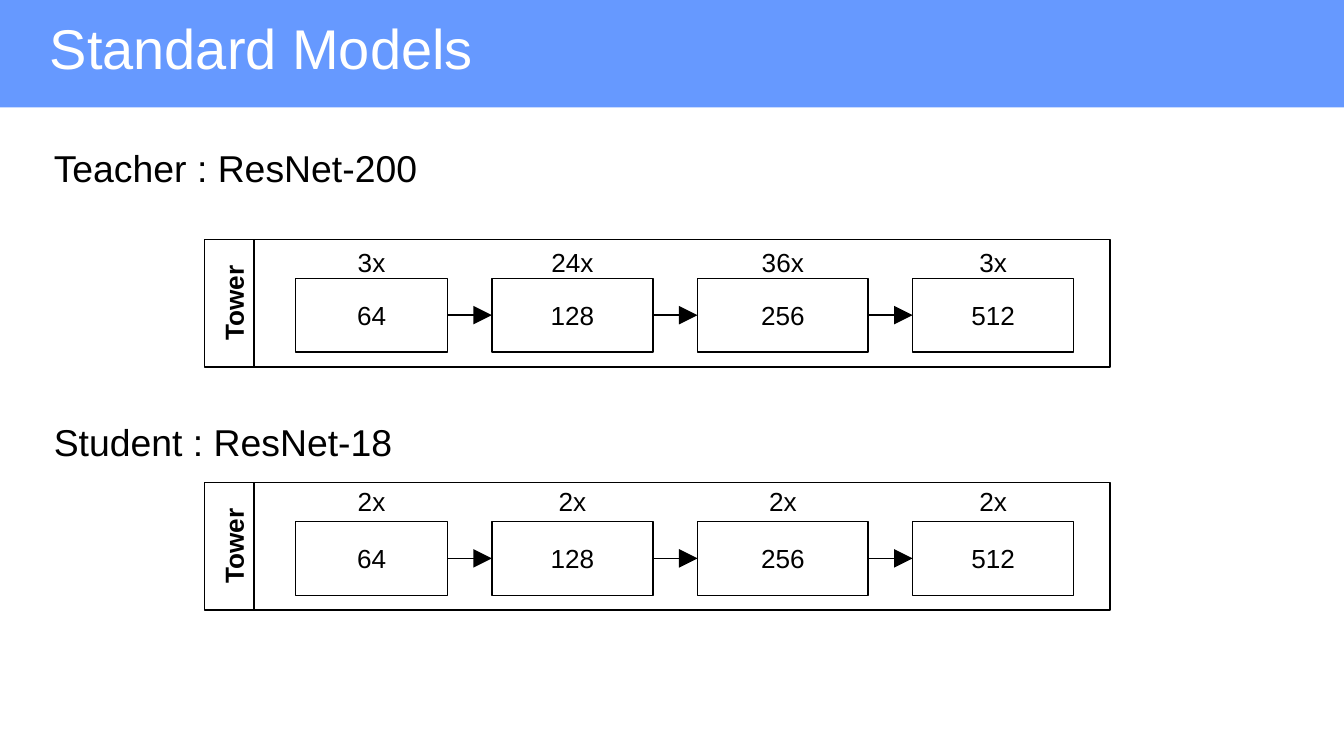
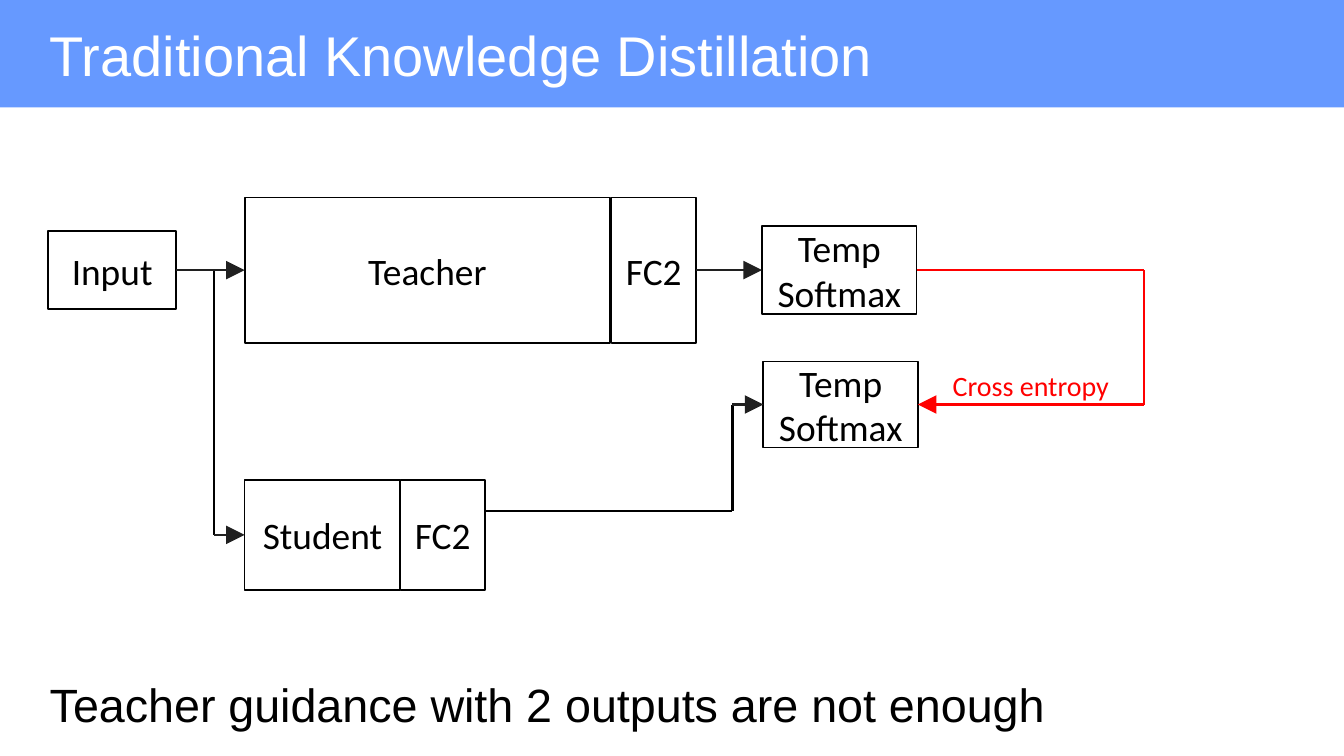
from dataclasses import dataclass

from lxml.etree import SubElement
from pptx import Presentation
from pptx.dml.color import RGBColor
from pptx.enum.shapes import MSO_CONNECTOR, MSO_SHAPE
from pptx.enum.text import MSO_ANCHOR, MSO_AUTO_SIZE, PP_ALIGN
from pptx.oxml.ns import qn
from pptx.util import Inches, Pt


@dataclass(frozen=True)
class Theme:
    band: RGBColor = RGBColor(0x66, 0x99, 0xFF)
    white: RGBColor = RGBColor(0xFF, 0xFF, 0xFF)
    black: RGBColor = RGBColor(0, 0, 0)
    dark: RGBColor = RGBColor(0x20, 0x20, 0x20)
    red: RGBColor = RGBColor(0xFF, 0, 0)
    sans: str = "Arial"
    flow: str = "Calibri"
    title: int = 30
    note: int = 25
    head: int = 20
    tag: int = 15
    small: int = 14
    thin: float = 0.75
    edge: float = 1
    wire: float = 1.25


theme = Theme()
RECT = (MSO_SHAPE.RECTANGLE, 0, 0, 0, 0)
LEFT, RIGHT = 1, 3


def place(shape, at, text="", size=theme.small, color=theme.black, font=theme.sans,
          align=PP_ALIGN.CENTER, anchor=MSO_ANCHOR.TOP, pad=0.1, edge=0, bold=False, space=1):
    """Position a shape, outline it if edge is given, and set its text."""
    shape.left, shape.top, shape.width, shape.height = map(Inches, at)
    if edge:
        shape.shadow.inherit = False
        shape.fill.background()
        shape.line.color.rgb = theme.black
        shape.line.width = Pt(edge)
    if not text:
        return shape
    frame = shape.text_frame
    frame.text = text
    frame.word_wrap = True
    frame.auto_size = MSO_AUTO_SIZE.NONE
    frame.vertical_anchor = anchor
    frame.margin_left = frame.margin_right = Inches(0.1)
    frame.margin_top = frame.margin_bottom = Inches(pad)
    for para in frame.paragraphs:
        if shape.is_placeholder:
            props = para._p.get_or_add_pPr()
            props.set("marL", "0")
            props.set("indent", "0")
            SubElement(props, qn("a:buNone"))
        para.alignment = align
        para.space_before = Pt(0)
        para.line_spacing = space
        para.font.name = font
        para.font.size = Pt(size)
        para.font.bold = bold
        para.font.color.rgb = color
    return shape


def wire(shapes, start, end, color=theme.black, width=theme.wire, head=False):
    """Draw a line; each end is a point (x, y) or a joint (shape, side)."""
    glued = [not isinstance(tip[0], (int, float)) for tip in (start, end)]
    spots = [(0, 0) if glue else tip for glue, tip in zip(glued, (start, end))]
    line = shapes.add_connector(MSO_CONNECTOR.STRAIGHT, *map(Inches, spots[0] + spots[1]))
    if glued[0]:
        line.begin_connect(*start)
    if glued[1]:
        line.end_connect(*end)
    line.line.color.rgb = color
    line.line.width = Pt(width)
    props = line.element.spPr
    if head:
        SubElement(props.find(qn("a:ln")), qn("a:tailEnd"), type="triangle", w="lg", len="lg")
    SubElement(props, qn("a:effectLst"))


# Widescreen, 16 to 9
deck = Presentation()
deck.slide_width, deck.slide_height = Inches(10), Inches(10 * 9 / 16)

# Blue band and title on each slide
pages = []
for name, kind, top in (("Standard Models", 3, 0),
                        ("Traditional Knowledge Distillation", 1, 0.05)):
    page = deck.slides.add_slide(deck.slide_layouts[kind])
    title = page.shapes.title
    band = place(page.shapes.add_shape(*RECT), (0, 0, 10, 0.8))
    band.shadow.inherit = False
    band.fill.solid()
    band.fill.fore_color.rgb = theme.band
    band.line.fill.background()
    title.element.addprevious(band.element)
    place(title, (0.27, top, 9.32, 0.63), name, theme.title, theme.white, align=PP_ALIGN.LEFT)
    pages.append(page)
models, distill = pages

# Standard models: one heading and one tower per network
shapes = models.shapes
widths = (1.13, 1.2, 1.27, 1.2)
gap = 0.33
towers = (
    (1, "Teacher : ResNet-200", 0.98, 1.78, 1.73, ("3x", "24x", "36x", "3x")),
    (2, "Student : ResNet-18", 3.02, 3.59, 3.51, ("2x", "2x", "2x", "2x")),
)
for slot, name, top, y, high, counts in towers:
    place(models.placeholders[slot], (0.3, top, 9.32, 0.63), name, theme.head,
          align=PP_ALIGN.LEFT)
    place(shapes.add_shape(*RECT), (1.89, y, 6.37, 0.95), edge=theme.thin)
    side = place(shapes.add_shape(*RECT), (1.23, y + 0.29, 0.95, 0.37), "Tower",
                 edge=theme.thin, bold=True)
    side.rotation = 270

    # Stages double in channels and are chained by arrows
    x, last = 2.2, None
    for step, (wide, count) in enumerate(zip(widths, counts)):
        stage = place(shapes.add_shape(*RECT), (x, y + 0.29, wide, 0.55), str(64 * 2 ** step),
                      anchor=MSO_ANCHOR.MIDDLE, edge=theme.thin)
        span = 0.2 + 0.15 * len(count)
        place(shapes.add_textbox(0, 0, 0, 0), (x + (wide - span) / 2, high, span, 0.37), count)
        if last:
            wire(shapes, (last, RIGHT), (stage, LEFT), width=theme.thin, head=True)
        x, last = x + wide + gap, stage

# Distillation: boxes
shapes = distill.shapes
parts = {}
for key, text, at in (
    ("input", "Input", (0.36, 1.72, 0.95, 0.58)),
    ("teach", "Teacher", (1.82, 1.47, 2.72, 1.08)),
    ("top", "FC2", (4.55, 1.47, 0.63, 1.08)),
    ("soft", "Temp\nSoftmax", (5.67, 1.68, 1.15, 0.66)),
    ("pupil", "Student", (1.82, 3.57, 1.16, 0.82)),
    ("low", "FC2", (2.98, 3.57, 0.63, 0.82)),
    ("goal", "Temp\nSoftmax", (5.68, 2.69, 1.15, 0.64)),
):
    parts[key] = place(shapes.add_shape(*RECT), at, text, theme.head, font=theme.flow,
                       anchor=MSO_ANCHOR.MIDDLE, pad=0.05, edge=theme.edge)

# Distillation: plain lines, then arrows
for start, end, color in (
    ((1.59, 2.01), (1.59, 3.98), theme.black),
    ((3.61, 3.8), (5.45, 3.8), theme.black),
    ((5.45, 3.01), (5.45, 3.8), theme.black),
    ((parts["soft"], RIGHT), (8.51, 2.01), theme.red),
    ((8.51, 2.01), (8.51, 3.01), theme.red),
):
    wire(shapes, start, end, color)
for start, end, color in (
    ((parts["input"], RIGHT), (parts["teach"], LEFT), theme.dark),
    ((parts["top"], RIGHT), (parts["soft"], LEFT), theme.dark),
    ((1.59, 3.98), (parts["pupil"], LEFT), theme.dark),
    ((5.45, 3.01), (parts["goal"], LEFT), theme.dark),
    ((8.51, 3.01), (parts["goal"], RIGHT), theme.red),
):
    wire(shapes, start, end, color, head=True)

# Distillation: loss label and closing remark
place(shapes.add_textbox(0, 0, 0, 0), (6.69, 2.64, 1.96, 0.46), "Cross entropy", theme.tag,
      theme.red, theme.flow, anchor=MSO_ANCHOR.MIDDLE, pad=0.05)
place(distill.placeholders[1], (0.27, 4.87, 9.45, 0.57),
      "Teacher guidance with 2 outputs are not enough", theme.note,
      align=PP_ALIGN.LEFT, space=1.15)

deck.save("out.pptx")
